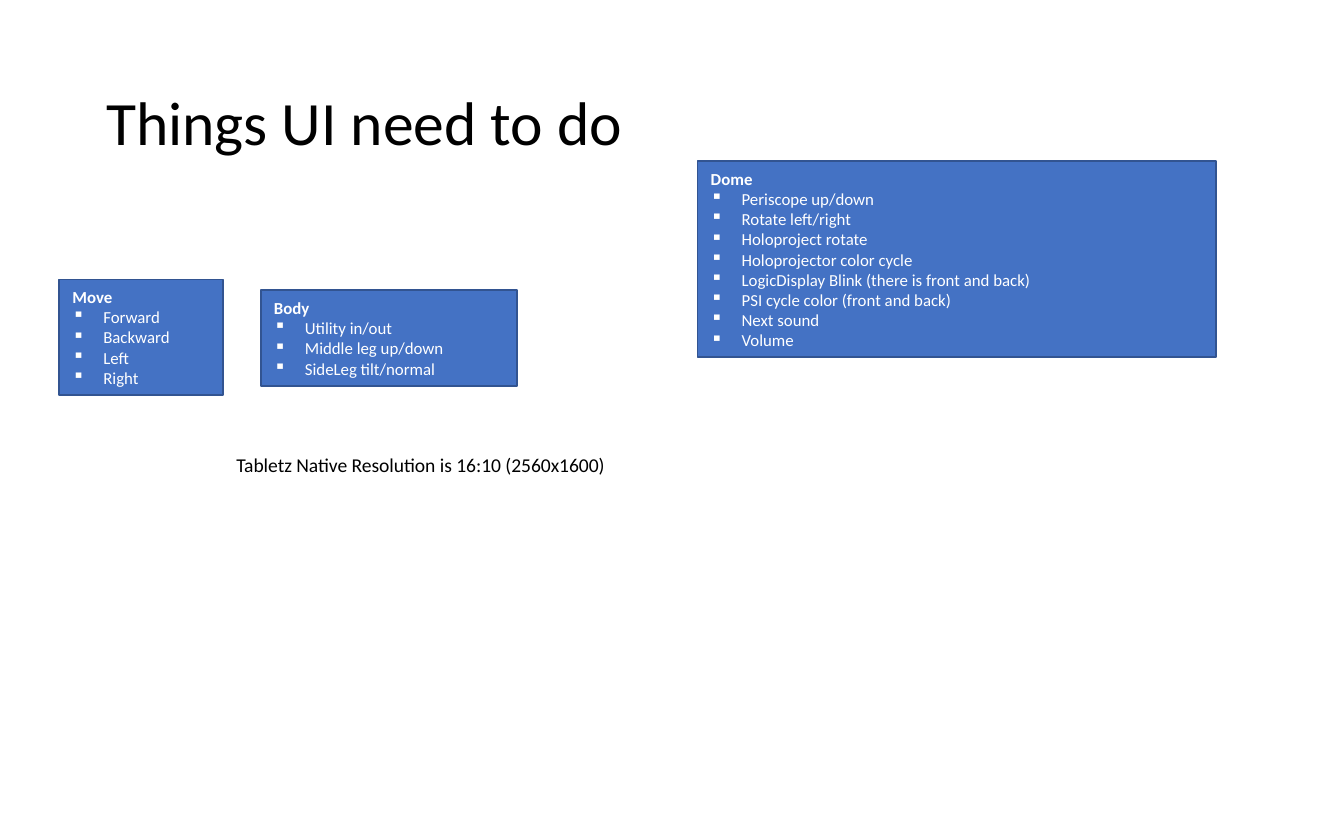
from lxml import etree
from pptx import Presentation
from pptx.dml.color import RGBColor
from pptx.enum.shapes import MSO_SHAPE
from pptx.enum.text import MSO_ANCHOR, MSO_AUTO_SIZE, PP_ALIGN
from pptx.oxml.ns import qn
from pptx.util import Inches, Pt

RECTANGLE = MSO_SHAPE.RECTANGLE
MIDDLE = MSO_ANCHOR.MIDDLE
TOP = MSO_ANCHOR.TOP
FIT_SHAPE = MSO_AUTO_SIZE.SHAPE_TO_FIT_TEXT
NO_FIT = MSO_AUTO_SIZE.NONE
LEFT = PP_ALIGN.LEFT

THEME = {
    "font": "Calibri",
    "text": RGBColor.from_string("000000"),
    "panel": RGBColor.from_string("4472C4"),
    "outline": RGBColor.from_string("325491"),
    "panel_text": RGBColor.from_string("FFFFFF"),
    "title_size": Pt(33),
    "note_size": Pt(10.5),
    "panel_size": Pt(9),
}

PANELS = [
    ("Move", (0.44, 2.08, 1.22, 0.86), ["Forward", "Backward", "Left", "Right"]),
    ("Body", (1.94, 2.16, 1.91, 0.71),
     ["Utility in/out", "Middle leg up/down", "SideLeg tilt/normal"]),
    ("Dome", (5.19, 1.2, 3.86, 1.46),
     ["Periscope up/down", "Rotate left/right", "Holoproject rotate",
      "Holoprojector color cycle", "LogicDisplay Blink (there is front and back)",
      "PSI cycle color (front and back)", "Next sound", "Volume"]),
]


def write_paragraph(paragraph, text, size, color, bold=False):
    paragraph.text = text
    paragraph.alignment = LEFT
    font = paragraph.runs[0].font
    font.color.rgb = color
    font_format = {"name": THEME["font"], "size": size, "bold": bold}
    for attribute, value in font_format.items():
        setattr(font, attribute, value)


def add_bullet(paragraph):
    properties = paragraph._p.get_or_add_pPr()
    properties.set("marL", str(Inches(0.23)))
    properties.set("indent", str(-Inches(0.23)))
    etree.SubElement(properties, qn("a:buChar")).set("char", "▪")


presentation = Presentation()
presentation.slide_width = Inches(10)
presentation.slide_height = Inches(6.25)
slide = presentation.slides.add_slide(presentation.slide_layouts[5])

title = slide.shapes.title
title_format = {"left": 0.69, "top": 0.33, "width": 8.62, "height": 1.21}
for attribute, value in title_format.items():
    setattr(title, attribute, Inches(value))
frame_format = {"word_wrap": True, "vertical_anchor": MIDDLE, "auto_size": NO_FIT}
for attribute, value in frame_format.items():
    setattr(title.text_frame, attribute, value)
title_paragraph = title.text_frame.paragraphs[0]
write_paragraph(title_paragraph, "Things UI need to do", THEME["title_size"], THEME["text"])
title_paragraph.line_spacing = 0.9

panel_format = {"word_wrap": True, "vertical_anchor": MIDDLE, "auto_size": FIT_SHAPE}
for heading, box, actions in PANELS:
    panel = slide.shapes.add_shape(RECTANGLE, *map(Inches, box))
    panel.shadow.inherit = False
    panel.fill.solid()
    panel.fill.fore_color.rgb = THEME["panel"]
    panel.line.color.rgb = THEME["outline"]
    panel.line.width = Pt(1)
    frame = panel.text_frame
    for attribute, value in panel_format.items():
        setattr(frame, attribute, value)
    write_paragraph(frame.paragraphs[0], heading, THEME["panel_size"],
                    THEME["panel_text"], bold=True)
    for action in actions:
        paragraph = frame.add_paragraph()
        write_paragraph(paragraph, action, THEME["panel_size"], THEME["panel_text"])
        add_bullet(paragraph)

note = slide.shapes.add_textbox(Inches(1.66), Inches(3.32), Inches(5), Inches(0.28))
note_format = {"word_wrap": True, "vertical_anchor": TOP, "auto_size": FIT_SHAPE}
for attribute, value in note_format.items():
    setattr(note.text_frame, attribute, value)
write_paragraph(note.text_frame.paragraphs[0],
                "Tabletz Native Resolution is 16:10 (2560x1600)",
                THEME["note_size"], THEME["text"])

presentation.save("out.pptx")
